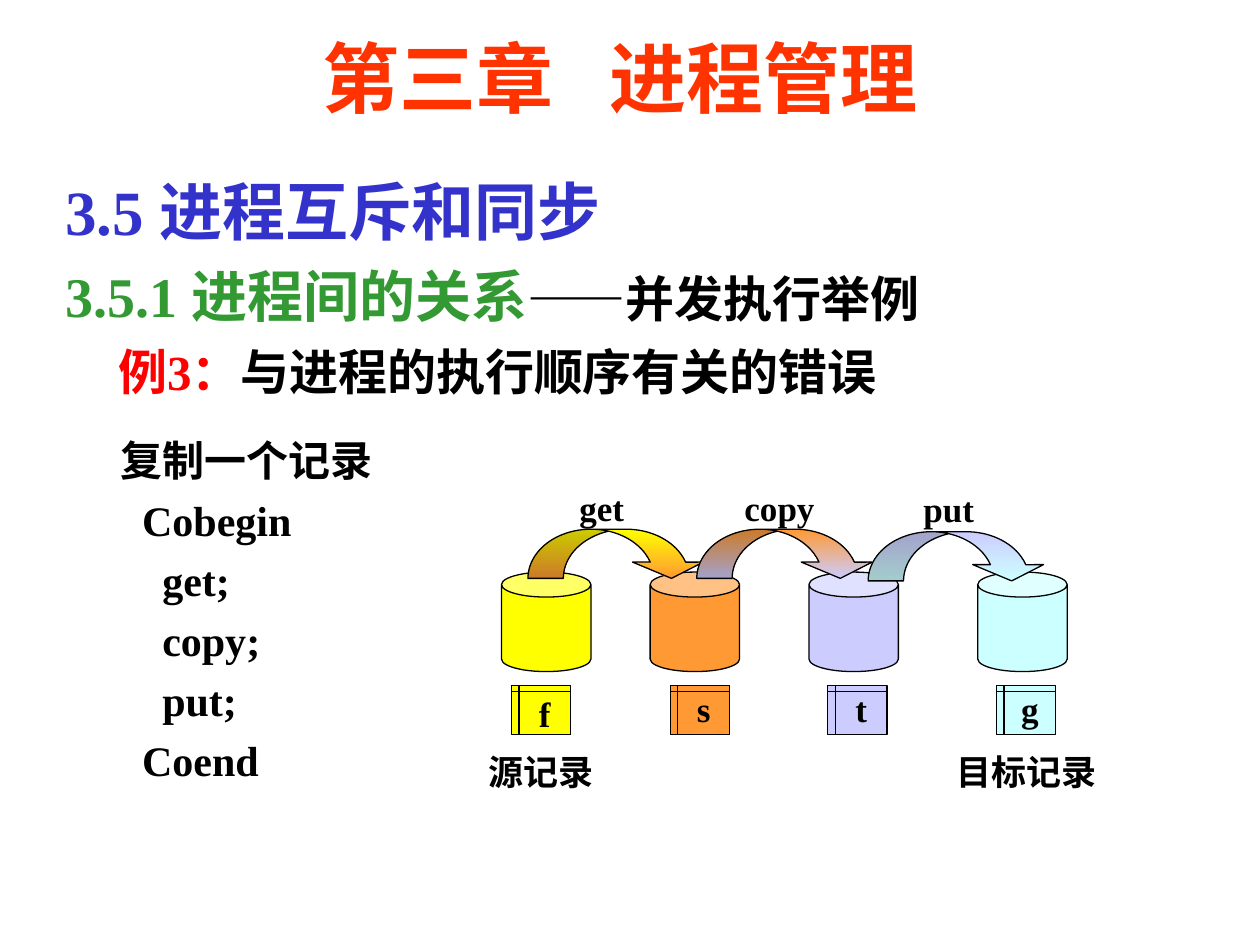
"""Build the process management slide on record copying with get, copy and put."""
from pptx import Presentation
from pptx.dml.color import RGBColor
from pptx.enum.shapes import MSO_SHAPE
from pptx.enum.text import MSO_ANCHOR, PP_ALIGN
from pptx.util import Inches, Pt

CAN = MSO_SHAPE.CAN
CARD = MSO_SHAPE.FLOWCHART_INTERNAL_STORAGE
ARROW = MSO_SHAPE.CURVED_DOWN_ARROW
CENTER = PP_ALIGN.CENTER
MIDDLE = MSO_ANCHOR.MIDDLE
FONT = "Times New Roman"
BLACK = "000000"


def color(value):
    return RGBColor.from_string(value)


def write(shape, paragraphs, space=0, spacing=None, align=None):
    frame = shape.text_frame
    frame.word_wrap = True
    for index, (margin, runs) in enumerate(paragraphs):
        para = frame.add_paragraph() if index else frame.paragraphs[0]
        para.alignment = align
        para.space_before = Pt(space)
        para.line_spacing = spacing
        properties = para._p.get_or_add_pPr()
        properties.set("marL", str(Inches(margin)))
        properties.set("indent", "0")
        for text, size, value in runs:
            span = para.add_run()
            span.text = text
            span.font.name = FONT
            span.font.size = Pt(size)
            span.font.bold = True
            span.font.color.rgb = color(value)
    return frame


deck = Presentation()
deck.slide_width, deck.slide_height = Inches(10), Inches(7.5)
page = deck.slides.add_slide(deck.slide_layouts[6])
shapes = page.shapes

headings = shapes.add_textbox(Inches(0.42), Inches(1.26), Inches(9), Inches(2.08))
write(headings, [
    (0, [("3.5 进程互斥和同步", 36, "3333CC")]),
    (0, [("3.5.1 进程间的关系", 32, "339933"), ("——并发执行举例", 28, BLACK)]),
    (0.42, [("例3：", 28, "FF0000"), ("与进程的执行顺序有关的错误", 28, BLACK)]),
], space=4, spacing=1.1)

code_lines = [(0, "复制一个记录"), (0.17, "Cobegin"), (0.33, "get;"),
              (0.33, "copy;"), (0.33, "put;"), (0.17, "Coend")]
code = shapes.add_textbox(Inches(0.86), Inches(3.4), Inches(2.33), Inches(3))
write(code, [(margin, [(text, 24, BLACK)]) for margin, text in code_lines], space=5.5)

title = shapes.add_textbox(Inches(1.17), Inches(0.07), Inches(7.5), Inches(1.08))
title_parts = ["第三章", " ", "进程管理"]
title_frame = write(title, [(0, [(text, 44, "FF3300") for text in title_parts])], align=CENTER)
title_frame.vertical_anchor = MIDDLE
title_gap = title_frame.paragraphs[0].runs[1]
title_gap.font._element.set("spc", "2200")

stages = [
    ("f", "FFFF00", 3.98, 4.06, 0.05),
    ("s", "FF9933", 5.16, 5.32, 0.01),
    ("t", "CCCCFF", 6.42, 6.57, 0.01),
    ("g", "CCFFFF", 7.76, 7.91, 0.01),
]
moves = [("get", 4.19, 4.2, 4.5, 3.81, 0.63),
         ("copy", 5.53, 4.2, 5.81, 3.81, 0.79),
         ("put", 6.89, 4.22, 7.23, 3.82, 0.71)]
labels = [(name, left, top, width) for name, _, _, left, top, width in moves]
labels += [("源记录", 3.78, 5.91, 1.1), ("目标记录", 7.49, 5.91, 1.42)]

for index, (name, fill, can_left, card_left, inset) in enumerate(stages):
    can = shapes.add_shape(CAN, Inches(can_left), Inches(4.54), Inches(0.71), Inches(0.79))
    can.adjustments[0] = 0.28
    card = shapes.add_shape(CARD, Inches(card_left), Inches(5.44), Inches(0.47), Inches(0.39))
    frame = write(card, [(0, [(name, 20, BLACK)])], align=CENTER)
    frame.word_wrap = False
    frame.vertical_anchor = MIDDLE
    frame.margin_top, frame.margin_bottom = Inches(inset), Inches(0.1 - inset)
    for shape in (can, card):
        shape.fill.solid()
        shape.fill.fore_color.rgb = color(fill)
    outlined = [can, card]
    if index:
        _, left, top, *_ = moves[index - 1]
        arrow = shapes.add_shape(ARROW, Inches(left), Inches(top), Inches(1.42), Inches(0.39))
        for position, value in enumerate((0.72, 1.44, 0.33)):
            arrow.adjustments[position] = value
        arrow.fill.gradient()
        arrow.fill.gradient_angle = 270
        for stop, stage in zip(arrow.fill.gradient_stops, stages[index - 1:index + 1]):
            stop.color.rgb = color(stage[1])
        outlined.append(arrow)
    for shape in outlined:
        shape.shadow.inherit = False
        shape.line.color.rgb = color(BLACK)
        shape.line.width = Pt(0.75)

for text, left, top, width in labels:
    label = shapes.add_textbox(Inches(left), Inches(top), Inches(width), Inches(0.43))
    write(label, [(0, [(text, 20, BLACK)])])

deck.save("out.pptx")
